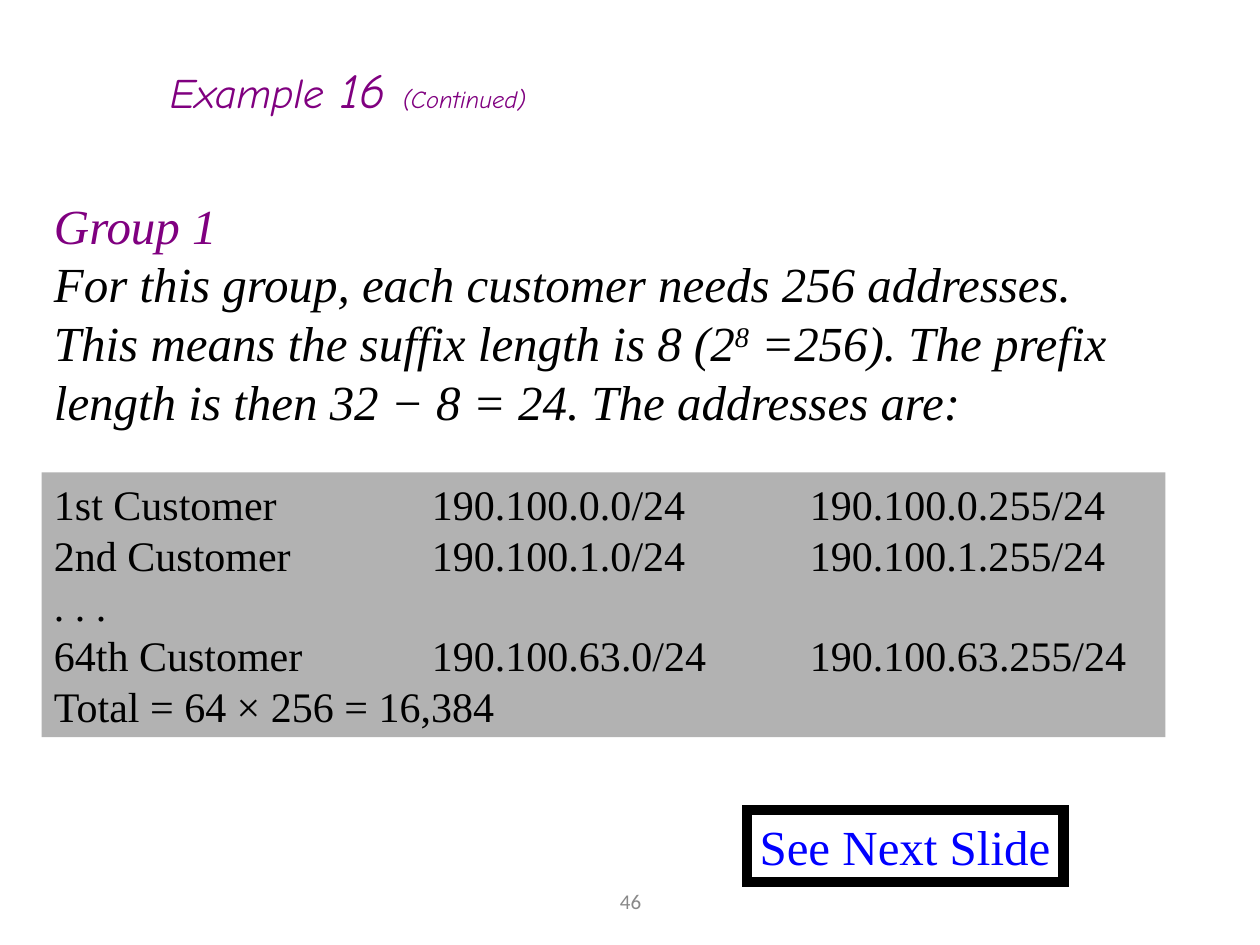
import lxml.etree
import pptx
import pptx.dml.color
import pptx.enum.shapes
import pptx.enum.text
import pptx.oxml.ns
import pptx.util
from pptx.util import Inches

PURPLE = pptx.dml.color.RGBColor(0x80, 0x00, 0x80)
BLACK = pptx.dml.color.RGBColor(0x00, 0x00, 0x00)
BLUE = pptx.dml.color.RGBColor(0x00, 0x00, 0xFF)
GRAY = pptx.dml.color.RGBColor(0xB2, 0xB2, 0xB2)
PAGE_GRAY = pptx.dml.color.RGBColor(0x89, 0x89, 0x89)
SERIF = "Times New Roman"
TITLE_FONT = "Comic Neue"


def add_run(paragraph, text, size, color=BLACK, font=SERIF, italic=False, superscript=False):
    run = paragraph.add_run()
    run.text = text
    run.font.size = pptx.util.Pt(size)
    run.font.name = font
    run.font.italic = italic
    run.font.color.rgb = color
    if superscript:
        run.font._element.set("baseline", "30000")


def add_box(left, top, width, height, wrap=True):
    """Add a rectangle without fill or line, with left-aligned text at its top."""
    shape = presentation.slides[0].shapes.add_shape(
        pptx.enum.shapes.MSO_SHAPE.RECTANGLE,
        Inches(left), Inches(top), Inches(width), Inches(height))
    shape.shadow.inherit = False
    shape.fill.background()
    shape.line.fill.background()
    frame = shape.text_frame
    frame.word_wrap = wrap
    frame.vertical_anchor = pptx.enum.text.MSO_ANCHOR.TOP
    frame.paragraphs[0].alignment = pptx.enum.text.PP_ALIGN.LEFT
    return shape, frame.paragraphs[0]


presentation = pptx.Presentation()
presentation.slide_width = Inches(10)
presentation.slide_height = Inches(7.5)
presentation.slides.add_slide(presentation.slide_layouts[6])

# Page number
page_number, paragraph = add_box(3.42, 6.95, 3.17, 0.4)
page_number.text_frame.vertical_anchor = pptx.enum.text.MSO_ANCHOR.MIDDLE
paragraph.alignment = pptx.enum.text.PP_ALIGN.CENTER
add_run(paragraph, "46", 12, color=PAGE_GRAY, font="Calibri")

# Group description
description, paragraph = add_box(0.33, 1.5, 8.92, 1.97)
add_run(paragraph, "Group 1", 28, color=PURPLE, italic=True)
paragraph.add_line_break()
add_run(paragraph, "For this group, each customer needs 256 addresses. "
        "This means the suffix length is 8 (2", 28, italic=True)
add_run(paragraph, "8", 28, italic=True, superscript=True)
add_run(paragraph, " =256). The prefix length is then 32 − 8 = 24. "
        "The addresses are:", 28, italic=True)

# Title
title, paragraph = add_box(1.25, 0.42, 7, 0.57)
for text, size in (("Example", 24), (" 16 ", 28), ("(Continued)", 14)):
    add_run(paragraph, text, size, color=PURPLE, font=TITLE_FONT, italic=True)

# Next slide note
next_note, paragraph = add_box(5.93, 6.43, 2.51, 0.57, wrap=False)
next_note.line.color.rgb = BLACK
next_note.line.width = pptx.util.Pt(6)
line_element = next_note.line._get_or_add_ln()
lxml.etree.SubElement(line_element, pptx.oxml.ns.qn("a:miter"), lim="800000")
add_run(paragraph, "See Next Slide", 28, color=BLUE)

# Address ranges, in columns set by tab stops
addresses, paragraph = add_box(0.33, 3.75, 8.92, 2.1)
addresses.fill.solid()
addresses.fill.fore_color.rgb = GRAY
tab_list = lxml.etree.SubElement(
    paragraph._p.get_or_add_pPr(), pptx.oxml.ns.qn("a:tabLst"))
for position in (3, 6):
    lxml.etree.SubElement(tab_list, pptx.oxml.ns.qn("a:tab"),
                          pos=str(Inches(position)), algn="l")
rows = [
    "1st Customer\t190.100.0.0/24\t190.100.0.255/24",
    "2nd Customer\t190.100.1.0/24\t190.100.1.255/24",
    ". . .",
    "64th Customer\t190.100.63.0/24\t190.100.63.255/24",
    "Total = 64 × 256 = 16,384",
]
for index, row in enumerate(rows):
    if index:
        paragraph.add_line_break()
    add_run(paragraph, row, 24)

presentation.save("out.pptx")
